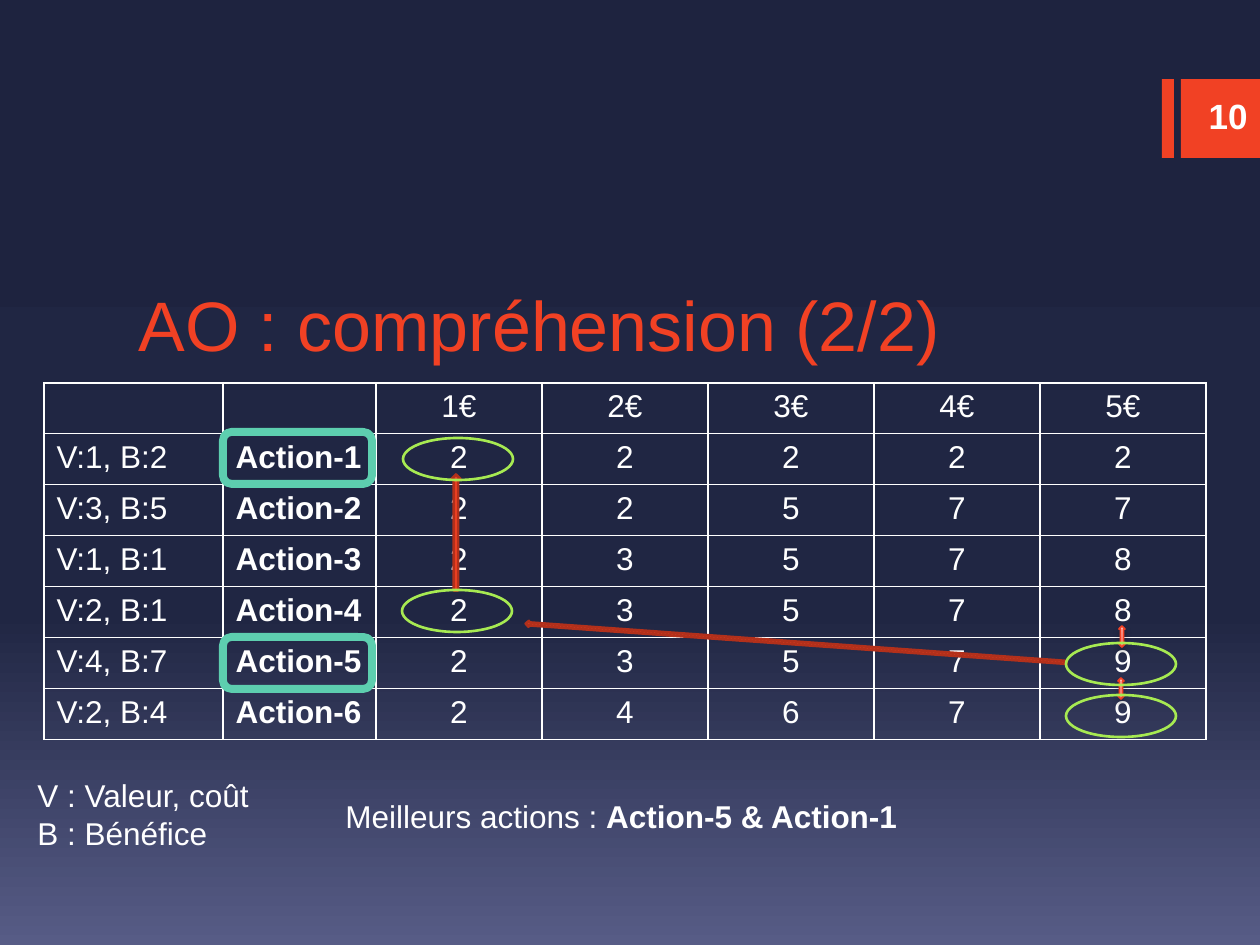
from lxml import etree
from pptx import Presentation
from pptx.dml.color import RGBColor
from pptx.enum import shapes, text
from pptx.oxml import parse_xml
from pptx.oxml.ns import nsdecls, qn
from pptx.util import Pt

PX = 914400 // 126
RED, DARK_RED, WHITE = "F14124", "B2301B", "FFFFFF"
LIME, TEAL = "A7EA52", "5DCEAF"
MSO = shapes.MSO_SHAPE
LEFT, CENTER, RIGHT = (text.PP_ALIGN.LEFT, text.PP_ALIGN.CENTER,
                       text.PP_ALIGN.RIGHT)
BG_STOPS = [(0, "1E233F"), (65, "202643"), (100, "575C86")]
ARROW_STOPS = [(0, "FFCFCD"), (41, "FFAAA6"), (100, "FF8C85")]

COLUMNS = [179, 153] + [166] * 5
ROWS = [48] + [51] * 6
TABLE = [
    ["", "", "1€", "2€", "3€", "4€", "5€"],
    ["V:1, B:2", "Action-1", "2", "2", "2", "2", "2"],
    ["V:3, B:5", "Action-2", "2", "2", "5", "7", "7"],
    ["V:1, B:1", "Action-3", "2", "3", "5", "7", "8"],
    ["V:2, B:1", "Action-4", "2", "3", "5", "7", "8"],
    ["V:4, B:7", "Action-5", "2", "3", "5", "7", "9"],
    ["V:2, B:4", "Action-6", "2", "4", "6", "7", "9"],
]


def px(*values):
    """Turn pixels into EMU."""
    return [v * PX for v in values]


def rgb(value):
    """Turn a hex string into a colour."""
    return RGBColor.from_string(value)


def style(p, size=18, color=WHITE, bold=False, align=LEFT):
    """Set the font and alignment of a paragraph."""
    p.alignment = align
    f = p.font
    f.name, f.size, f.bold = "Arial", Pt(size), bold
    f.color.rgb = rgb(color)


def set_gradient(fill, element, stops):
    """Give a fill a top-to-bottom gradient."""
    fill.gradient()
    fill.gradient_angle = 270
    gs_list = element.find(".//" + qn("a:gsLst"))
    for gs in list(gs_list):
        gs_list.remove(gs)
    for pos, color in stops:
        gs = etree.SubElement(gs_list, qn("a:gs"), pos=str(pos * 1000))
        etree.SubElement(gs, qn("a:srgbClr"), val=color)


def add_shape(s, kind, box, fill=None, line=None, width=1.5, rotation=0):
    """Add a flat preset shape."""
    sp = s.shapes.add_shape(kind, *px(*box))
    sp.shadow.inherit = False
    sp.rotation = rotation
    if fill:
        sp.fill.solid()
        sp.fill.fore_color.rgb = rgb(fill)
    else:
        sp.fill.background()
    if line:
        sp.line.color.rgb = rgb(line)
        sp.line.width = Pt(width)
    else:
        sp.line.fill.background()
    return sp


def add_double_arrow(s, x, y):
    """Add a small shaded up-down arrow with a soft shadow."""
    sp = add_shape(s, MSO.UP_DOWN_ARROW, (x, y, 6, 21), line=RED, width=1)
    set_gradient(sp.fill, sp.element, ARROW_STOPS)
    sp.element.spPr.find(qn("a:effectLst")).append(parse_xml(
        f'<a:outerShdw {nsdecls("a")} blurRad="{Pt(4)}" dist="{Pt(3)}" '
        'dir="5400000" rotWithShape="0"><a:srgbClr val="000000">'
        '<a:alpha val="28000"/></a:srgbClr></a:outerShdw>'))


def add_text(s, box, paragraphs, wrap=False, anchor=text.MSO_ANCHOR.TOP,
             **font):
    """Add a text box; each paragraph is a list of (text, bold) runs."""
    tf = s.shapes.add_textbox(*px(*box)).text_frame
    tf.word_wrap, tf.vertical_anchor = wrap, anchor
    for i, runs in enumerate(paragraphs):
        p = tf.add_paragraph() if i else tf.paragraphs[0]
        style(p, **font)
        for content, bold in runs:
            r = p.add_run()
            r.text = content
            if bold:
                r.font.bold = True


def add_borders(cell):
    """Draw thin white borders around a cell."""
    tc_pr = cell._tc.get_or_add_tcPr()
    for i, side in enumerate(("lnL", "lnR", "lnT", "lnB")):
        tc_pr.insert(i, parse_xml(
            f'<a:{side} {nsdecls("a")} w="{Pt(1)}"><a:solidFill>'
            f'<a:srgbClr val="{WHITE}"/></a:solidFill></a:{side}>'))


def add_table(s, x, y):
    """Add the table of benefits per action and budget."""
    table = s.shapes.add_table(len(ROWS), len(COLUMNS), *px(
        x, y, sum(COLUMNS), sum(ROWS))).table
    table.first_row = table.horz_banding = False
    for column, width in zip(table.columns, COLUMNS):
        column.width = width * PX
    for row, height, values in zip(table.rows, ROWS, TABLE):
        row.height = height * PX
        for i, (cell, value) in enumerate(zip(row.cells, values)):
            cell.text = value
            style(cell.text_frame.paragraphs[0], bold=i == 1,
                  align=CENTER if i > 1 else LEFT)
            cell.fill.background()
            add_borders(cell)


def add_title(s, box, content):
    """Fill and place the title placeholder."""
    sp = s.shapes.title
    sp.left, sp.top, sp.width, sp.height = px(*box)
    tf = sp.text_frame
    tf.text = content
    tf.auto_size = text.MSO_AUTO_SIZE.NONE
    tf.vertical_anchor = text.MSO_ANCHOR.BOTTOM
    style(tf.paragraphs[0], size=40, color=RED)


def main():
    """Build the slide."""
    prs = Presentation()
    prs.slide_width, prs.slide_height = px(1260, 945)
    s = prs.slides.add_slide(prs.slide_layouts[5])
    set_gradient(s.background.fill, s.element, BG_STOPS)

    for x, width in ((1162, 12), (1181, 79)):
        add_shape(s, MSO.RECTANGLE, (x, 79, width, 79), fill=RED)
    add_title(s, (126, 213, 1008, 159), "AO : compréhension (2/2)")
    add_text(s, (1165, 77, 95, 78), [[("10", False)]], wrap=True,
             anchor=text.MSO_ANCHOR.MIDDLE, size=20, bold=True, align=RIGHT)
    add_table(s, 44, 383)

    for box, rotation in (((398, 528, 116, 9), 270),
                          ((525, 640, 542, 6), 184.1)):
        add_shape(s, MSO.RIGHT_ARROW, box, RED, DARK_RED, rotation=rotation)
    for x, y in ((1118, 678), (1119, 626)):
        add_double_arrow(s, x, y)
    for x, y in ((1066, 695), (1066, 643), (402, 590), (403, 438)):
        add_shape(s, MSO.OVAL, (x, y, 110, 42), line=LIME)

    add_text(s, (333, 791, 582, 50),
             [[("Meilleurs actions : ", False), ("Action-5 & Action-1", True)]])
    add_text(s, (25, 770, 238, 89),
             [[("V : Valeur, coût", False)], [("B : Bénéfice", False)]])
    for y in (637, 432):
        add_shape(s, MSO.ROUNDED_RECTANGLE, (223, y, 149, 52), line=TEAL,
                  width=4.5)
    prs.save("out.pptx")


main()
